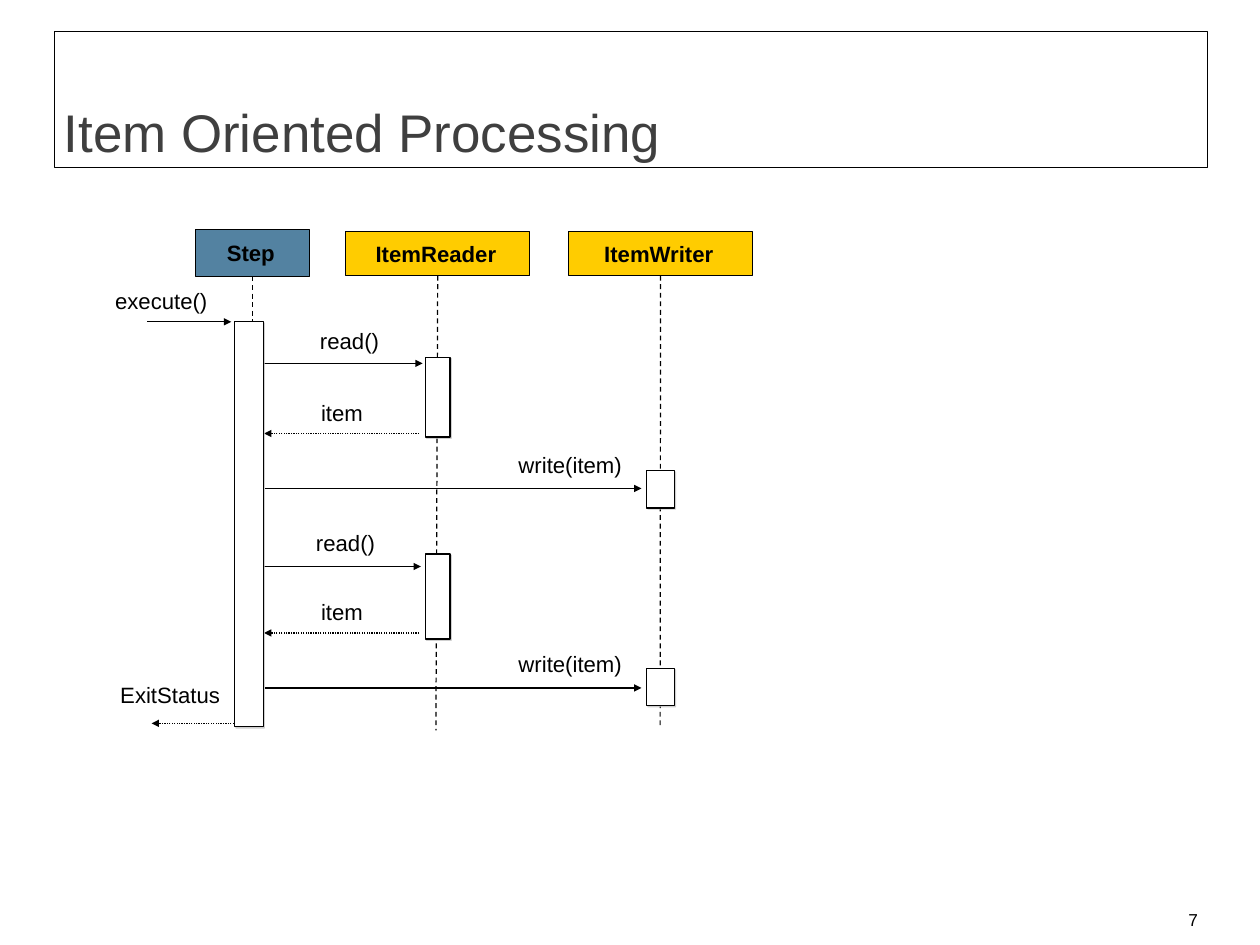
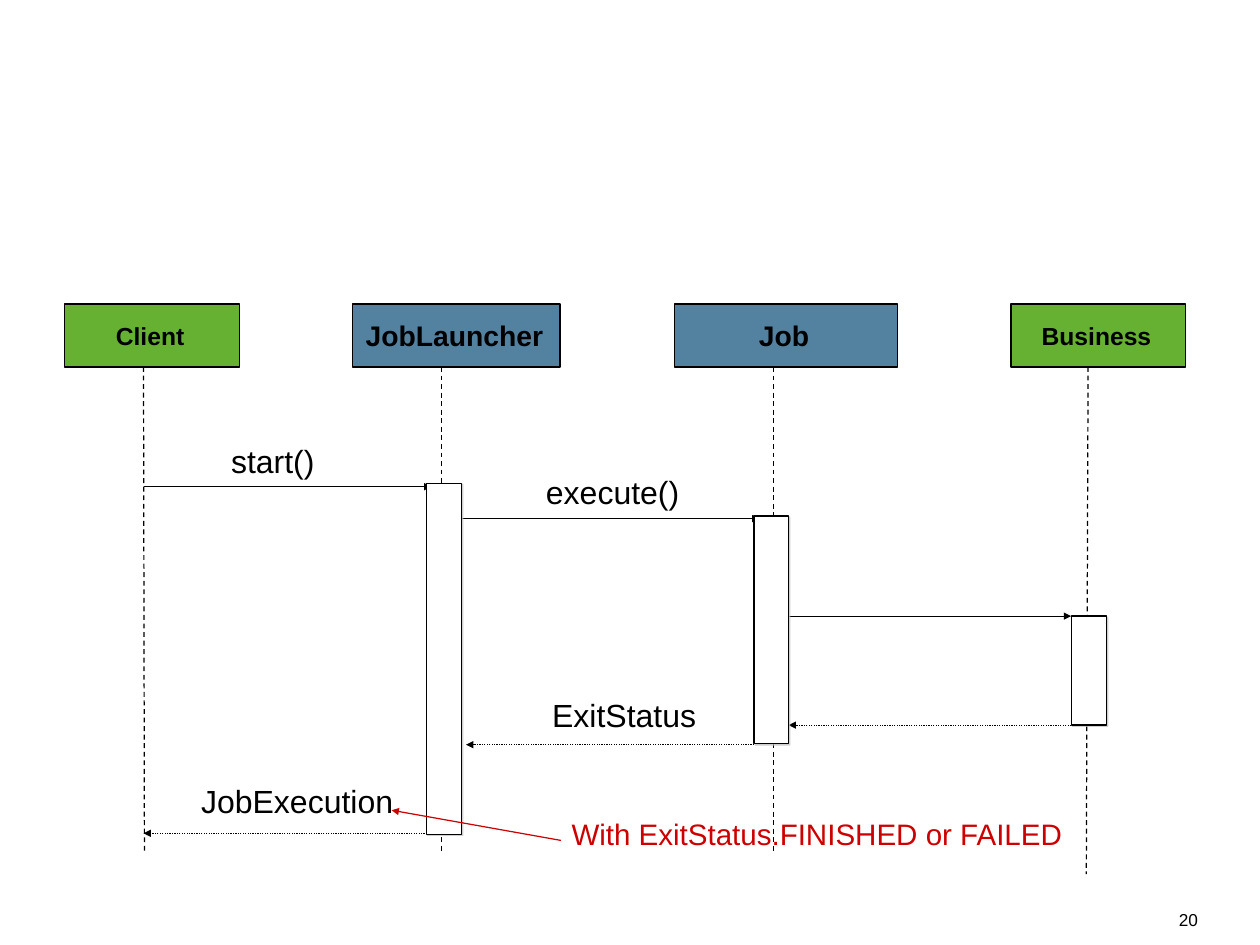
from typing import NamedTuple, Optional

import pptx
import pptx.util
from pptx.dml.color import RGBColor
from pptx.enum.dml import MSO_LINE
from pptx.enum.shapes import MSO_CONNECTOR, MSO_SHAPE
from pptx.enum.text import MSO_ANCHOR, MSO_AUTO_SIZE, PP_ALIGN
from pptx.oxml import parse_xml
from pptx.oxml.ns import nsdecls, qn
from pptx.util import Inches

BLACK = RGBColor(0x00, 0x00, 0x00)
WHITE = RGBColor(0xFF, 0xFF, 0xFF)
TITLE_GRAY = RGBColor(0x3F, 0x3F, 0x3F)
BLUE = RGBColor(0x53, 0x82, 0xA1)
YELLOW = RGBColor(0xFF, 0xCC, 0x00)
GREEN = RGBColor(0x66, 0xB1, 0x32)
RED = RGBColor(0xCC, 0x00, 0x00)
FONT = "Arial"
TITLE_ONLY, BLANK = 5, 6
BOTTOM_SIDE = 2

BAR_SHADOW = (
    f'<a:outerShdw {nsdecls("a")} dist="17780" dir="2700000" algn="ctr" rotWithShape="0">'
    '<a:srgbClr val="C0C0C0"><a:alpha val="75000"/></a:srgbClr></a:outerShdw>'
)


class Participant(NamedTuple):
    """A header box and its lifeline; without head_x the line starts mid-box."""
    name: str
    left: float
    top: float
    width: float
    height: float
    color: RGBColor
    size: int
    foot_x: float
    foot_y: float
    head_x: Optional[float] = None


class Message(NamedTuple):
    """An arrow at height y; label is its text, left, top and width."""
    start_x: float
    end_x: float
    y: float
    is_reply: bool = False
    label: Optional[tuple] = None


def set_text(shape, text, size, color=BLACK, bold=False, align=PP_ALIGN.CENTER,
             anchor=MSO_ANCHOR.TOP, insets=(0, 0, 0, 0), wrap=True):
    frame = shape.text_frame
    frame.text = text
    frame.word_wrap = wrap
    frame.auto_size = MSO_AUTO_SIZE.NONE
    frame.vertical_anchor = anchor
    (frame.margin_left, frame.margin_top,
     frame.margin_right, frame.margin_bottom) = map(Inches, insets)
    para = frame.paragraphs[0]
    para.alignment = align
    para.font.name = FONT
    para.font.size = pptx.util.Pt(size)
    para.font.bold = bold
    para.font.color.rgb = color


def add_label(page, text, left, top, width, height, size, **style):
    box = page.shapes.add_textbox(*map(Inches, (left, top, width, height)))
    set_text(box, text, size, **style)


def add_box(page, left, top, width, height, fill):
    box = page.shapes.add_shape(MSO_SHAPE.RECTANGLE,
                                *map(Inches, (left, top, width, height)))
    box.shadow.inherit = False
    box.fill.solid()
    box.fill.fore_color.rgb = fill
    box.line.color.rgb = BLACK
    box.line.width = pptx.util.Pt(1)
    return box


def add_line(page, start, end, dash=None, arrow=True, color=BLACK):
    line = page.shapes.add_connector(MSO_CONNECTOR.STRAIGHT,
                                     *map(Inches, (*start, *end)))
    line.line.color.rgb = color
    line.line.width = pptx.util.Pt(1)
    if dash:
        line.line.dash_style = dash
    if arrow:
        line.line._get_or_add_ln().append(
            parse_xml(f'<a:tailEnd {nsdecls("a")} type="triangle"/>'))
    line._element.spPr.append(parse_xml(f'<a:effectLst {nsdecls("a")}/>'))
    return line


def add_participant(page, person):
    header = add_box(page, person.left, person.top, person.width,
                     person.height, person.color)
    set_text(header, person.name, person.size, bold=True,
             anchor=MSO_ANCHOR.MIDDLE, insets=(0.03, 0.03, 0.07, 0.03))
    head_x = person.foot_x if person.head_x is None else person.head_x
    lifeline = add_line(page, (head_x, person.top + person.height),
                        (person.foot_x, person.foot_y), MSO_LINE.DASH, arrow=False)
    if person.head_x is None:
        lifeline.begin_connect(header, BOTTOM_SIDE)


def add_bar(page, left, top, width, height):
    bar = add_box(page, left, top, width, height, WHITE)
    bar._element.spPr.find(qn("a:effectLst")).append(parse_xml(BAR_SHADOW))


def add_sequence(page, participants, messages, bars, label_size, label_height):
    for person in participants:
        add_participant(page, person)
    for message in messages:
        add_line(page, (message.start_x, message.y), (message.end_x, message.y),
                 MSO_LINE.ROUND_DOT if message.is_reply else None)
    for bar in bars:
        add_bar(page, *bar)
    for message in messages:
        if message.label:
            add_label(page, *message.label, label_height, label_size)


def add_page(deck, layout, number):
    page = deck.slides.add_slide(deck.slide_layouts[layout])
    add_label(page, number, 13.02, 10.21, 0.6, 0.33, 14, align=PP_ALIGN.RIGHT,
              insets=(0.1, 0.05, 0.1, 0.05))
    return page


def set_title(page, text):
    title = page.shapes.title
    title.left, title.top, title.width, title.height = map(
        Inches, (0.62, 0.36, 13.01, 1.53))
    title.fill.solid()
    title.fill.fore_color.rgb = WHITE
    title.line.color.rgb = BLACK
    title.line.width = pptx.util.Pt(0.75)
    set_text(title, text, 43, TITLE_GRAY, align=PP_ALIGN.LEFT,
             anchor=MSO_ANCHOR.BOTTOM, insets=(0.1, 0.05, 0.06, 0.05))


def build_item_processing(deck):
    page = add_page(deck, TITLE_ONLY, "7")
    set_title(page, "Item Oriented Processing")
    participants = [
        Participant("Step", 2.21, 2.59, 1.28, 0.53, BLUE, 18, 2.85, 6.97),
        Participant("ItemReader", 3.9, 2.61, 2.08, 0.5, YELLOW, 18, 4.92, 8.24),
        Participant("ItemWriter", 6.42, 2.61, 2.07, 0.5, YELLOW, 18, 7.45, 8.19),
    ]
    messages = [
        Message(1.66, 2.61, 3.63, label=("execute()", 1.19, 3.24, 1.26)),
        Message(2.64, 1.71, 8.16, True, ("ExitStatus", 1.19, 7.69, 1.46)),
        Message(2.98, 4.77, 4.1, label=("read()", 3.31, 3.69, 1.27)),
        Message(2.98, 4.75, 6.39, label=("read()", 3.27, 5.97, 1.26)),
    ]
    for item_y, write_y in ((4.89, 5.51), (7.14, 7.76)):
        messages += [
            Message(4.73, 2.98, item_y, True, ("item", 3.43, item_y - 0.39, 0.86)),
            Message(2.99, 7.24, write_y,
                    label=("write(item)", 5.57, write_y - 0.42, 1.73)),
        ]
    bars = [
        (2.65, 3.63, 0.32, 4.57),
        (4.8, 4.03, 0.28, 0.9),
        (4.8, 6.25, 0.28, 0.96),
        (7.3, 5.31, 0.31, 0.42),
        (7.3, 7.54, 0.31, 0.42),
    ]
    add_sequence(page, participants, messages, bars, 18, 0.42)


def build_job_launch(deck):
    page = add_page(deck, BLANK, "20")
    top, height = 3.43, 0.71
    participants = [
        Participant("Client", 0.73, top, 1.97, height, GREEN, 20, 1.63, 9.63, 1.62),
        Participant("JobLauncher", 3.98, top, 2.34, height, BLUE, 23, 4.98, 9.63, 4.98),
        Participant("Job", 7.61, top, 2.52, height, BLUE, 23, 8.73, 9.63, 8.73),
        Participant("Business", 11.41, top, 1.97, height, GREEN, 20, 12.26, 9.86, 12.28),
    ]
    messages = [
        Message(1.62, 4.87, 5.49, label=("start()", 2.18, 4.98, 1.8)),
        Message(5.21, 8.57, 5.85, label=("execute()", 5.83, 5.33, 2.17)),
        Message(8.9, 12.09, 6.95),
        Message(12.31, 8.9, 8.18, True),
        Message(8.51, 5.26, 8.4, True, ("ExitStatus", 5.94, 7.84, 2.21)),
        Message(4.82, 1.62, 9.4, True, ("JobExecution", 2.06, 8.81, 2.59)),
    ]
    bars = [
        (4.81, 5.45, 0.4, 3.96),
        (8.51, 5.82, 0.39, 2.57),
        (12.09, 6.95, 0.4, 1.23),
    ]
    add_sequence(page, participants, messages, bars, 26, 0.59)
    add_label(page, "With ExitStatus.FINISHED or FAILED", 6.39, 9.21, 5.68, 0.4, 24,
              color=RED, align=PP_ALIGN.LEFT, anchor=MSO_ANCHOR.MIDDLE,
              insets=(0.06, 0, 0.06, 0), wrap=False)
    add_line(page, (6.33, 9.48), (4.42, 9.14), color=RED)


def main():
    deck = pptx.Presentation()
    deck.slide_width, deck.slide_height = Inches(14.22), Inches(10.66)
    build_item_processing(deck)
    build_job_launch(deck)
    deck.save("out.pptx")


if __name__ == "__main__":
    main()
